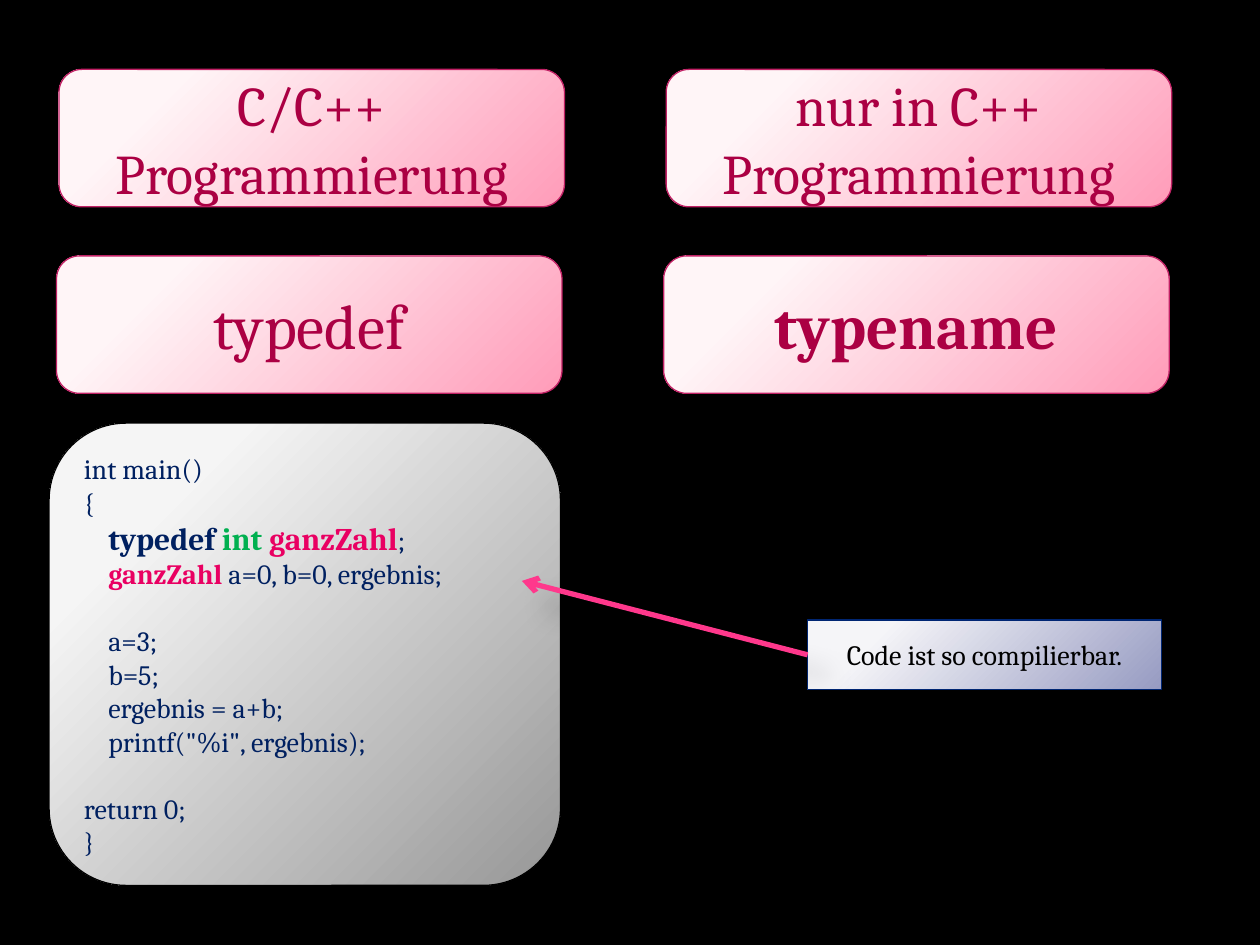
from lxml import etree
from pptx import Presentation
from pptx import util as u
from pptx.dml.color import RGBColor
from pptx.enum import shapes, text
from pptx.oxml import parse_xml
from pptx.oxml.ns import qn

BLACK = RGBColor(0x00, 0x00, 0x00)
ROSE_LIGHT = RGBColor(0xFF, 0xF5, 0xF7)
ROSE = RGBColor(0xFF, 0x9C, 0xB9)
ROSE_EDGE = RGBColor(0xC1, 0x21, 0x65)
WINE = RGBColor(0xAB, 0x00, 0x43)
GREY_LIGHT = RGBColor(0xF5, 0xF5, 0xF5)
GREY = RGBColor(0x97, 0x97, 0x97)
LILAC_LIGHT = RGBColor(0xF5, 0xF5, 0xF8)
LILAC = RGBColor(0x97, 0x9B, 0xC2)
NAVY_EDGE = RGBColor(0x00, 0x26, 0x73)
NAVY = RGBColor(0x00, 0x20, 0x60)
GREEN = RGBColor(0x00, 0xB0, 0x50)
PINK = RGBColor(0xE9, 0x00, 0x62)
ARROW_PINK = RGBColor(0xFF, 0x38, 0x8C)

FONT = "Cambria"
NS = 'xmlns:a="http://schemas.openxmlformats.org/drawingml/2006/main"'
GRADIENT = (
    f'<a:gradFill {NS} rotWithShape="1"><a:gsLst>'
    '<a:gs pos="20000"><a:srgbClr val="{}"/></a:gs>'
    '<a:gs pos="100000"><a:srgbClr val="{}"/></a:gs></a:gsLst>'
    '<a:path path="circle"><a:fillToRect l="-15000" t="-15000" r="115000" b="115000"/>'
    '</a:path></a:gradFill>')
ARROW_SHADOW = (
    f'<a:effectLst {NS}><a:outerShdw blurRad="190500" dist="228600" dir="2700000">'
    '<a:srgbClr val="000000"><a:alpha val="26000"/></a:srgbClr>'
    '</a:outerShdw></a:effectLst>')

INDENT = u.Cm(0.49)
BLANK_LINE = u.Pt(19)
CODE = [
    (0, 0, [("int main()", {})]),
    (0, 0, [("{", {})]),
    (1, 0, [("typedef ", {"size": 18, "bold": True}),
            ("int ", {"size": 18, "bold": True, "color": GREEN}),
            ("ganzZahl", {"size": 18, "bold": True, "color": PINK}),
            (";", {})]),
    (1, 0, [("ganzZahl", {"bold": True, "color": PINK}),
            (" a=0, b=0, ergebnis;", {})]),
    (1, 1, [("a=3;", {})]),
    (1, 0, [("b=5;", {})]),
    (1, 0, [("ergebnis = a+b;", {})]),
    (1, 0, [('printf("%i", ergebnis);', {})]),
    (0, 1, [("return 0;", {})]),
    (0, 0, [("}", {})]),
]


def add_text(p, content, size=16, color=NAVY, bold=False):
    """Append a formatted run to a paragraph."""
    r = p.add_run()
    r.text = content
    r.font.name = FONT
    r.font.size = u.Pt(size)
    r.font.bold = bold
    r.font.color.rgb = color


def add_panel(slide, box, kind, light, dark, edge):
    """Add an outlined shape with a radial gradient and return it."""
    sp = slide.shapes.add_shape(kind, *(u.Cm(v) for v in box))
    sp.shadow.inherit = False
    sp.line.color.rgb = edge
    sp.line.width = u.Pt(0.75)
    geometry = sp._element.spPr.find(qn("a:prstGeom"))
    geometry.addnext(parse_xml(GRADIENT.format(light, dark)))
    sp.text_frame.word_wrap = True
    return sp


def add_label(sp, content, **style):
    """Centre one paragraph in a shape."""
    tf = sp.text_frame
    tf.vertical_anchor = text.MSO_ANCHOR.MIDDLE
    p = tf.paragraphs[0]
    p.alignment = text.PP_ALIGN.CENTER
    add_text(p, content, **style)


def add_card_row(slide, box, cards, size):
    """Place two equal cards at the left and right ends of the box."""
    left, top, width, height = box
    card_width = 10.19
    for i, (content, bold) in enumerate(cards):
        card = (left + i * (width - card_width), top, card_width, height)
        sp = add_panel(slide, card, shapes.MSO_SHAPE.ROUNDED_RECTANGLE,
                       ROSE_LIGHT, ROSE, ROSE_EDGE)
        add_label(sp, content, size=size, color=WINE, bold=bold)


def add_code(slide, box):
    """Place the code listing in a rounded grey panel."""
    sp = add_panel(slide, box, shapes.MSO_SHAPE.ROUNDED_RECTANGLE,
                   GREY_LIGHT, GREY, BLACK)
    tf = sp.text_frame
    tf.vertical_anchor = text.MSO_ANCHOR.TOP
    for i, (level, gap, runs) in enumerate(CODE):
        p = tf.add_paragraph() if i else tf.paragraphs[0]
        p.alignment = text.PP_ALIGN.LEFT
        p.space_before = gap * BLANK_LINE
        p._p.get_or_add_pPr().set("marL", str(level * INDENT))
        for content, style in runs:
            add_text(p, content, **style)


def add_note(slide, box, target):
    """Place the remark and its arrow to the target point."""
    sp = add_panel(slide, box, shapes.MSO_SHAPE.RECTANGLE,
                   LILAC_LIGHT, LILAC, NAVY_EDGE)
    add_label(sp, "Code ist so compilierbar.", color=BLACK)
    left, top, _, height = box
    ends = (left, top + height / 2, *target)
    arrow = slide.shapes.add_connector(shapes.MSO_CONNECTOR.STRAIGHT,
                                       *(u.Cm(v) for v in ends))
    arrow.line.color.rgb = ARROW_PINK
    arrow.line.width = u.Pt(3)
    etree.SubElement(arrow.line._get_or_add_ln(), qn("a:tailEnd"), type="arrow")
    arrow._element.spPr.append(parse_xml(ARROW_SHADOW))


def main():
    """Build and save the slide."""
    prs = Presentation()
    prs.slide_width, prs.slide_height = u.Cm(25.4), u.Cm(19.05)
    slide = prs.slides.add_slide(prs.slide_layouts[6])
    slide.background.fill.solid()
    slide.background.fill.fore_color.rgb = BLACK
    add_card_row(slide, (1.19, 1.4, 22.43, 2.77),
                 [("C/C++ Programmierung", False),
                  ("nur in C++ Programmierung", False)], 32)
    add_card_row(slide, (1.14, 5.16, 22.43, 2.77),
                 [("typedef", False), ("typename", True)], 36)
    add_code(slide, (0.99, 8.53, 10.31, 9.32))
    add_note(slide, (16.28, 12.5, 7.14, 1.4), (10.52, 11.71))
    prs.save("out.pptx")


if __name__ == "__main__":
    main()
